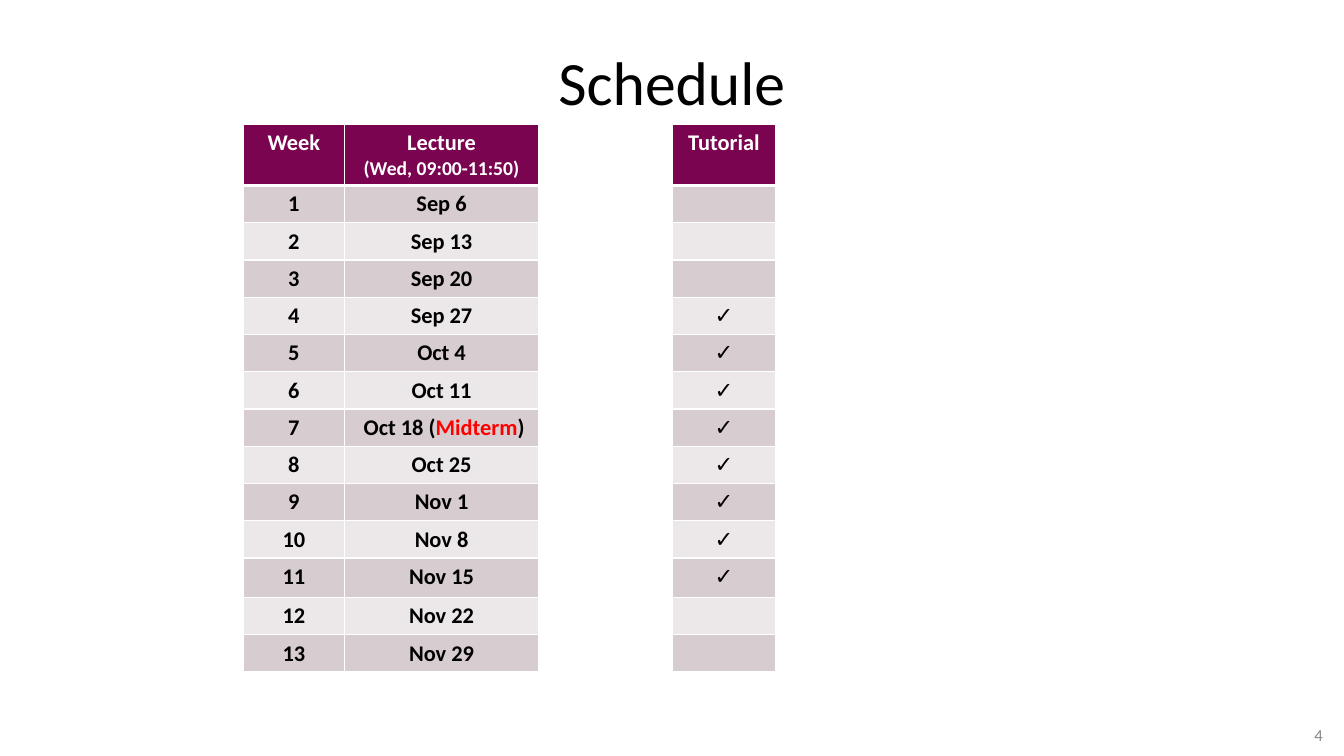
from lxml.etree import SubElement
from pptx import Presentation
from pptx.dml.color import RGBColor
from pptx.enum.text import MSO_ANCHOR as ANCHOR, PP_ALIGN as ALIGN
from pptx.oxml.ns import qn
from pptx.util import Inches, Pt

BLACK = RGBColor(0x00, 0x00, 0x00)
WHITE = RGBColor(0xFF, 0xFF, 0xFF)
GRAY = RGBColor(0x89, 0x89, 0x89)
RED = RGBColor(0xFF, 0x00, 0x00)
PLUM = RGBColor(0x7A, 0x04, 0x50)
BANDS = [RGBColor(0xD7, 0xCC, 0xD0), RGBColor(0xEC, 0xE7, 0xE9)]

W, H = 13.33, 7.5
TABLE_TOP = 1.23
HEAD_H, ROW_H, TALL_ROW_H = 0.61, 0.37, 0.39
TALL_WEEK = 11


def write(p, text, size=16, color=BLACK, bold=False, align=ALIGN.CENTER):
    """Add one run to a paragraph; empty text only sets the line's size."""
    p.alignment = align
    if not text:
        SubElement(p._p, qn("a:endParaRPr"), sz=str(size * 100))
        return
    r = p.add_run()
    r.text = text
    r.font.name = "Calibri"
    r.font.size = Pt(size)
    r.font.bold = bold
    r.font.color.rgb = color


def style_cell(cell, row):
    """Fill a cell by its row and draw its white borders."""
    cell.fill.solid()
    cell.fill.fore_color.rgb = BANDS[(row - 1) % 2] if row else PLUM
    tcPr = cell._tc.get_or_add_tcPr()
    for i, side in enumerate(("lnL", "lnR", "lnT", "lnB")):
        thick = (row == 0 and side == "lnB") or (row == 1 and side == "lnT")
        ln = tcPr.makeelement(qn(f"a:{side}"), {"w": str(Pt(3 if thick else 1))})
        fill = SubElement(ln, qn("a:solidFill"))
        SubElement(fill, qn("a:srgbClr"), val=str(WHITE))
        tcPr.insert(i, ln)


prs = Presentation()
prs.slide_width, prs.slide_height = Inches(W), Inches(H)
s = prs.slides.add_slide(prs.slide_layouts[6])

# Title and slide number
for text, box, size, color, align in [
    ("Schedule", (0.05 * W, 0.04 * H, 0.9 * W, 1.01), 44, BLACK, ALIGN.CENTER),
    ("4", (11.79, 7.14, 1.43, 0.29), 12, GRAY, ALIGN.RIGHT),
]:
    tf = s.shapes.add_textbox(*map(Inches, box)).text_frame
    tf.word_wrap = True
    tf.vertical_anchor = ANCHOR.MIDDLE
    write(tf.paragraphs[0], text, size=size, color=color, align=align)

# Table contents: weekly lectures, tutorials in weeks 4 to 11
dates = ["Sep 6", "Sep 13", "Sep 20", "Sep 27", "Oct 4", "Oct 11", " Oct 18 (Midterm)",
         "Oct 25", "Nov 1", "Nov 8", "Nov 15", "Nov 22", "Nov 29"]
weeks = range(1, len(dates) + 1)
lectures = [["Week", "Lecture\n(Wed, 09:00-11:50)"]]
lectures += [[str(week), date] for week, date in zip(weeks, dates)]
tutorials = [["Tutorial"]] + [["✓" if 4 <= week <= 11 else ""] for week in weeks]

# Lecture and tutorial tables
for left, widths, rows in [(2.41, [1.01, 1.92], lectures), (6.67, [1.02], tutorials)]:
    heights = [HEAD_H] + [TALL_ROW_H if week == TALL_WEEK else ROW_H for week in weeks]
    box = (left, TABLE_TOP, sum(widths), sum(heights))
    table = s.shapes.add_table(len(rows), len(widths), *map(Inches, box)).table
    for col, width in zip(table.columns, widths):
        col.width = Inches(width)
    for i, (values, height) in enumerate(zip(rows, heights)):
        table.rows[i].height = Inches(height)
        for j, value in enumerate(values):
            cell = table.cell(i, j)
            style_cell(cell, i)
            tf = cell.text_frame
            p = tf.paragraphs[0]
            if i == 0:
                label, _, time = value.partition("\n")
                write(p, label, color=WHITE, bold=True)
                if time:
                    write(tf.add_paragraph(), time, size=14, color=WHITE, bold=True)
            else:
                before, exam, after = value.partition("Midterm")
                bold = rows is lectures
                write(p, before, bold=bold)
                if exam:
                    write(p, exam, color=RED, bold=bold)
                    write(p, after, bold=bold)

prs.save("out.pptx")
